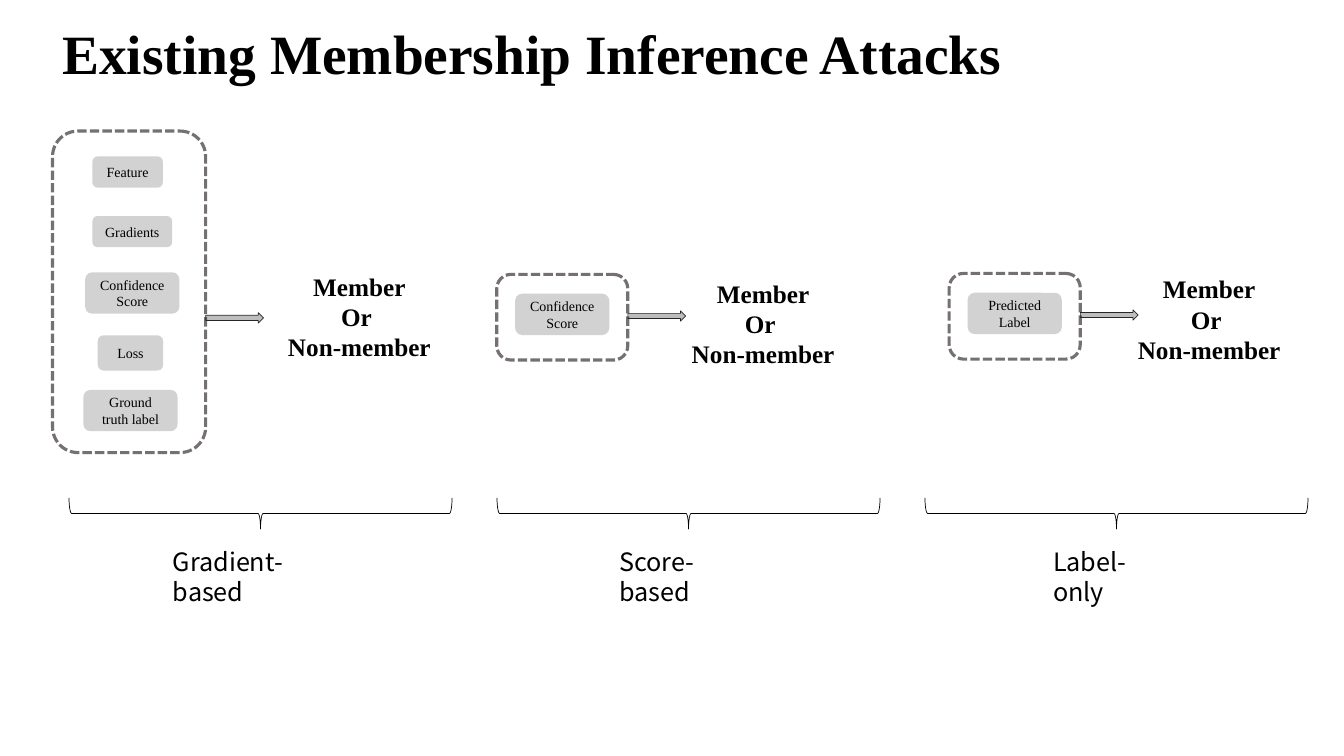
from lxml import etree
from pptx import Presentation
from pptx.dml.color import RGBColor
from pptx.enum.dml import MSO_LINE
from pptx.enum.shapes import MSO_SHAPE as SHAPE
from pptx.enum.text import MSO_ANCHOR as ANCHOR, PP_ALIGN as ALIGN
from pptx.oxml.ns import qn
from pptx.util import Pt

BLACK = RGBColor(0x00, 0x00, 0x00)
CHIP_GRAY = RGBColor(0x7C, 0x7C, 0x7C)
FRAME_GRAY = RGBColor(0x76, 0x71, 0x71)
ARROW_FILL = RGBColor(0x40, 0x40, 0x40)
ARROW_LINE = RGBColor(0x26, 0x26, 0x26)

SERIF = "Times New Roman"
SANS = "Noto Sans CJK SC"
OPACITY = 34
CHIP_WIDTH, CHIP_HEIGHT = 67.2, 29.5
BRACE_LEFT, BRACE_STEP = 49.3, 305.7


def write(frame, lines, size, font=SERIF, bold=False, align=ALIGN.LEFT, spacing=None):
    frame.word_wrap = True
    for index, line in enumerate(lines):
        paragraph = frame.paragraphs[0] if index == 0 else frame.add_paragraph()
        paragraph.alignment = align
        if spacing:
            paragraph.line_spacing = spacing
        run = paragraph.add_run()
        run.text = line
        run.font.size = Pt(size)
        run.font.name = font
        run.font.bold = bold
        run.font.color.rgb = BLACK
        if font == SANS:
            east_asian = etree.SubElement(run.font._element, qn("a:ea"))
            east_asian.set("typeface", font)


def add_text(slide, left, top, width, height, lines, size, anchor=ANCHOR.TOP, **style):
    box = slide.shapes.add_textbox(Pt(left), Pt(top), Pt(width), Pt(height))
    box.text_frame.vertical_anchor = anchor
    write(box.text_frame, lines, size, **style)


def add_plain_shape(slide, kind, left, top, width, height, fill=None, line=None, weight=0.5):
    """Add a shape without shadow; a fill is translucent, a missing colour means none."""
    shape = slide.shapes.add_shape(kind, Pt(left), Pt(top), Pt(width), Pt(height))
    shape.shadow.inherit = False
    if fill is None:
        shape.fill.background()
    else:
        shape.fill.solid()
        shape.fill.fore_color.rgb = fill
        color = shape._element.spPr.find(qn("a:solidFill"))[0]
        etree.SubElement(color, qn("a:alpha")).set("val", str(OPACITY * 1000))
    if line is None:
        shape.line.fill.background()
    else:
        shape.line.color.rgb = line
        shape.line.width = Pt(weight)
    return shape


def add_turned_shape(slide, kind, left, top, width, height, line, weight):
    """Add an outline turned by 90 degrees that covers the given area as seen."""
    shift = (width - height) / 2
    shape = add_plain_shape(slide, kind, left + shift, top - shift, height, width,
                            line=line, weight=weight)
    shape.rotation = 90
    return shape


def add_frame(slide, left, top, width, height):
    frame = add_turned_shape(slide, SHAPE.ROUNDED_RECTANGLE, left, top, width, height,
                             FRAME_GRAY, 2.25)
    frame.line.dash_style = MSO_LINE.SQUARE_DOT


def add_chip(slide, label, left, top, width=CHIP_WIDTH, height=CHIP_HEIGHT):
    chip = add_plain_shape(slide, SHAPE.ROUNDED_RECTANGLE, left, top, width, height,
                           fill=CHIP_GRAY)
    chip.text_frame.vertical_anchor = ANCHOR.MIDDLE
    write(chip.text_frame, [label], 10, align=ALIGN.CENTER)


def add_verdict(slide, arrow_left, arrow_top, text_left, text_top):
    add_plain_shape(slide, SHAPE.RIGHT_ARROW, arrow_left, arrow_top, 41.3, 7.4,
                    fill=ARROW_FILL, line=ARROW_LINE)
    add_text(slide, text_left, text_top, 199.4, 72.7, ["Member", "Or ", "Non-member"], 18,
             bold=True, align=ALIGN.CENTER)


def add_single_input(slide, label, left, top):
    add_chip(slide, label, left + 13.2, top + 13.8)
    add_frame(slide, left, top, 93.6, 61.2)


def main():
    presentation = Presentation()
    presentation.slide_width = Pt(960)
    presentation.slide_height = Pt(540)
    slide = presentation.slides.add_slide(presentation.slide_layouts[6])

    add_text(slide, 37.4, 18, 777.6, 44.6, ["Existing Membership Inference Attacks"], 39.6,
             anchor=ANCHOR.MIDDLE, bold=True, spacing=0.9)

    add_frame(slide, 37.5, 93.6, 109.4, 229.7)
    add_chip(slide, "Feature", 66, 111.7, 50.4, 22.3)
    add_chip(slide, "Gradients", 66, 154.3, 57, 22.3)
    add_chip(slide, "Confidence Score", 60.9, 194.5)
    add_chip(slide, "Loss", 69.8, 239.5, 46.8, 25.2)
    add_chip(slide, "Ground truth label", 59.6, 278.5)
    add_single_input(slide, "Confidence Score", 354.8, 196)
    add_single_input(slide, "Predicted Label", 678, 195.3)

    add_verdict(slide, 146.9, 223.4, 157, 190.1)
    add_verdict(slide, 448.5, 222, 445.4, 195.1)
    add_verdict(slide, 771.7, 221.3, 764, 192)

    captions = [("Gradient-based", 116.4, 137.5), ("Score-based", 435.2, 113.8),
                ("Label-only", 745.2, 97.9)]
    for index, (caption, left, width) in enumerate(captions):
        add_turned_shape(slide, SHAPE.RIGHT_BRACE, BRACE_LEFT + index * BRACE_STEP, 355.6,
                         273.6, 22.3, BLACK, 0.5)
        add_text(slide, left, 386.6, width, 29.1, [caption], 18, font=SANS)

    presentation.save("out.pptx")


if __name__ == "__main__":
    main()
